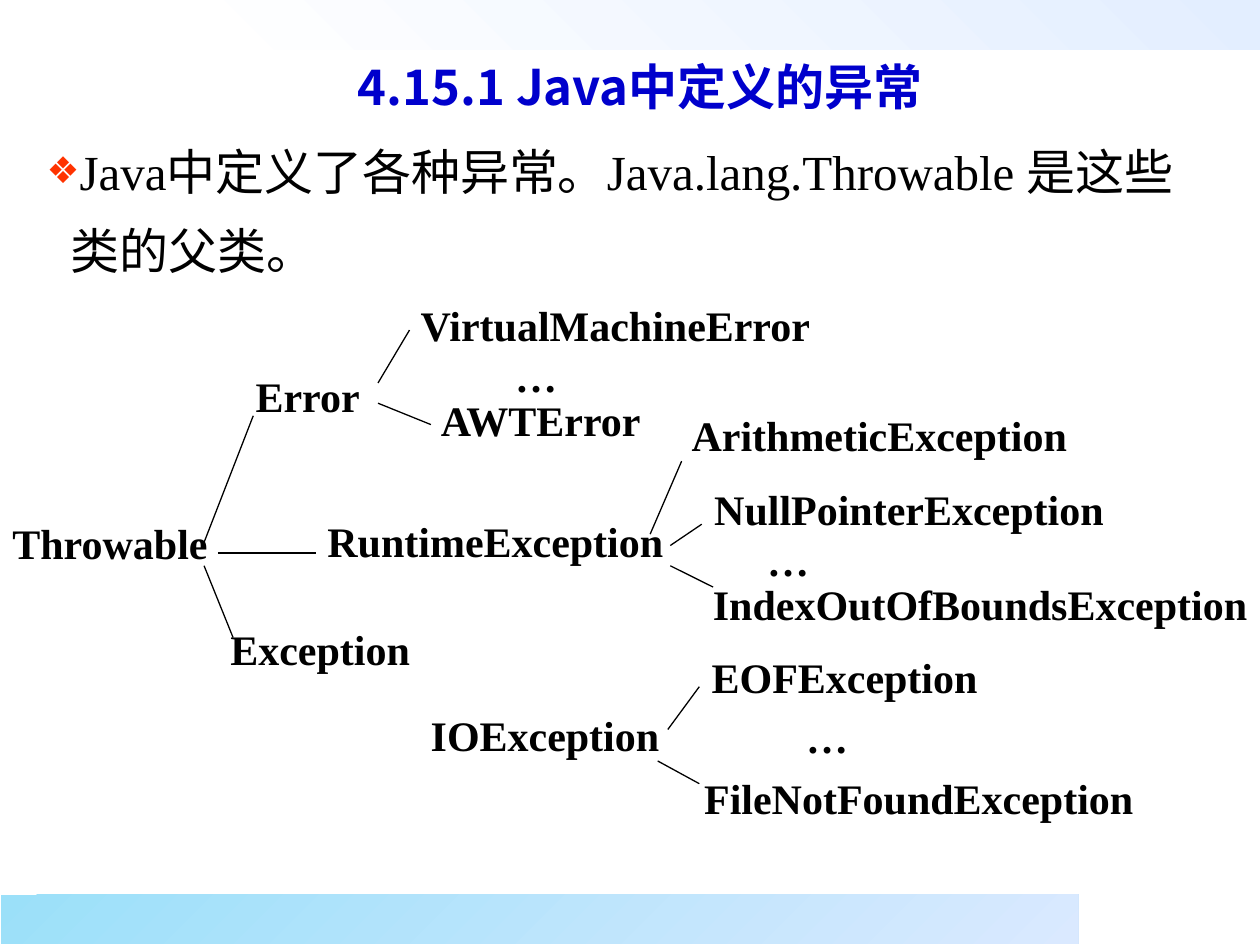
from lxml.etree import SubElement
from pptx import Presentation
from pptx.dml.color import RGBColor
from pptx.enum.shapes import MSO_CONNECTOR, MSO_SHAPE
from pptx.enum.text import MSO_ANCHOR, MSO_AUTO_SIZE, PP_ALIGN
from pptx.oxml.ns import qn
from pptx.util import Inches, Pt

WIDTH, HEIGHT = Inches(10), Inches(7.5)
SERIF, SANS = "Times New Roman", "Noto Sans CJK SC"
ROW = 6.67  # height of a one-line label

# Class labels: text, left, top, width in percent of the slide
LABELS = [
    ("Throwable", 0, 54.13, 17.5),
    ("Error", 19.3, 38.53, 10.3),
    ("Exception", 17.3, 65.33, 16.5),
    ("AWTError", 34, 41.07, 18.3),
    ("RuntimeException", 25, 53.87, 28.9),
    ("IOException", 33.2, 74.4, 20.4),
    ("FileNotFoundException", 54.9, 81.07, 36.1),
    ("ArithmeticException", 53.9, 42.67, 31.8),
    ("IndexOutOfBoundsException", 55.6, 60.53, 44.4),
]

# Labels followed by an ellipsis: also height, ellipsis indent, line spacing
OPEN_LABELS = [
    ("VirtualMachineError", 32.4, 31.07, 33.1, 12, 7.5, 1),
    ("NullPointerException", 55.7, 50.53, 32.9, 12, 4.2, 1),
    ("EOFException", 55.5, 67.2, 23.1, 14.13, 7.5, 1.2),
]

# Branches of the tree: start x, y and end x, y in percent
BRANCHES = [
    (16.1, 57.73, 20.1, 44),       # Throwable to Error
    (17.3, 58.53, 25.1, 58.53),    # Throwable to RuntimeException
    (16.2, 59.87, 18.5, 67.47),    # Throwable to Exception
    (30, 40.53, 32.5, 34.93),      # Error to its subclasses
    (30, 42.67, 34.2, 44.93),
    (51.6, 56.53, 54.1, 48.8),     # RuntimeException to its subclasses
    (53.2, 57.73, 55.7, 55.47),
    (53.2, 59.87, 56.6, 62.13),
    (53, 77.2, 55.5, 72.67),       # IOException to its subclasses
    (52.2, 80.53, 55.5, 82.93),
]


def color(value):
    return RGBColor.from_string(value)


def across(percent):
    return round(WIDTH * percent / 100)


def down(percent):
    return round(HEIGHT * percent / 100)


def area(left, top, width, height):
    return across(left), down(top), across(width), down(height)


def place(shape, *percents):
    shape.left, shape.top, shape.width, shape.height = area(*percents)


def style(para, size, name, value="000000", bold=False, spacing=1):
    para.line_spacing = spacing
    para.space_before = Pt(0)
    font = para.font
    font.size, font.name, font.bold = Pt(size), name, bold
    font.color.rgb = color(value)


def indent(para, left, first=0):
    properties = para._p.get_or_add_pPr()
    properties.set("marL", str(across(left)))
    properties.set("indent", str(across(first)))
    return properties


def add_band(page, percents, start, end, angle):
    band = page.shapes.add_shape(MSO_SHAPE.RECTANGLE, *area(*percents))
    band.shadow.inherit = False
    band.line.fill.background()
    band.fill.gradient()
    band.fill.gradient_angle = angle
    for stop, value in zip(band.fill.gradient_stops, (start, end)):
        stop.color.rgb = color(value)


def fill_title(title, text):
    place(title, 5.9, 6, 89.8, 6.93)
    frame = title.text_frame
    frame.auto_size = MSO_AUTO_SIZE.NONE
    frame.vertical_anchor = MSO_ANCHOR.MIDDLE
    frame.text = text
    para = frame.paragraphs[0]
    para.alignment = PP_ALIGN.CENTER
    style(para, 28, SANS, "0000CC", bold=True, spacing=0.9)


def fill_body(body, text):
    place(body, 2.7, 12.13, 95.3, 18.13)
    frame = body.text_frame
    frame.auto_size = MSO_AUTO_SIZE.NONE
    frame.text = text
    para = frame.paragraphs[0]
    properties = indent(para, 1.9, -1.9)
    bullet_color = SubElement(properties, qn("a:buClr"))
    SubElement(bullet_color, qn("a:srgbClr"), val="FF3300")
    SubElement(properties, qn("a:buSzPct"), val="75000")
    SubElement(properties, qn("a:buChar"), char="❖")
    style(para, 28, SERIF, spacing=1.35)


def add_label(page, text, left, top, width, height=ROW, dots_at=None, spacing=1):
    box = page.shapes.add_textbox(*area(left, top, width, height))
    frame = box.text_frame
    frame.word_wrap = False
    frame.auto_size = MSO_AUTO_SIZE.SHAPE_TO_FIT_TEXT
    frame.text = text
    if dots_at is not None:
        dots = frame.add_paragraph()
        dots.text = "…"
        indent(dots, dots_at)
    for para in frame.paragraphs:
        style(para, 24, SERIF, bold=True, spacing=spacing)


def add_branch(page, x1, y1, x2, y2):
    branch = page.shapes.add_connector(
        MSO_CONNECTOR.STRAIGHT, across(x1), down(y1), across(x2), down(y2))
    branch.line.color.rgb = color("000000")
    branch.line.width = Pt(0.75)
    SubElement(branch._element.spPr, qn("a:effectLst"))


def main():
    deck = Presentation()
    deck.slide_width, deck.slide_height = WIDTH, HEIGHT
    page = deck.slides.add_slide(deck.slide_layouts[1])

    # Decorative bands at top and bottom
    add_band(page, (15.4, 0, 84.6, 5.2), "FFFFFF", "E3EEFF", 45)
    add_band(page, (0.1, 94.67, 85.5, 5.2), "9BE0F9", "DAE9FF", 315)

    # Heading and introduction
    fill_title(page.shapes.title, "4.15.1 Java中定义的异常")
    fill_body(page.placeholders[1],
              "Java中定义了各种异常。Java.lang.Throwable 是这些类的父类。")

    # Exception class tree
    for label in LABELS + OPEN_LABELS:
        add_label(page, *label)
    for branch in BRANCHES:
        add_branch(page, *branch)

    deck.save("out.pptx")


if __name__ == "__main__":
    main()
